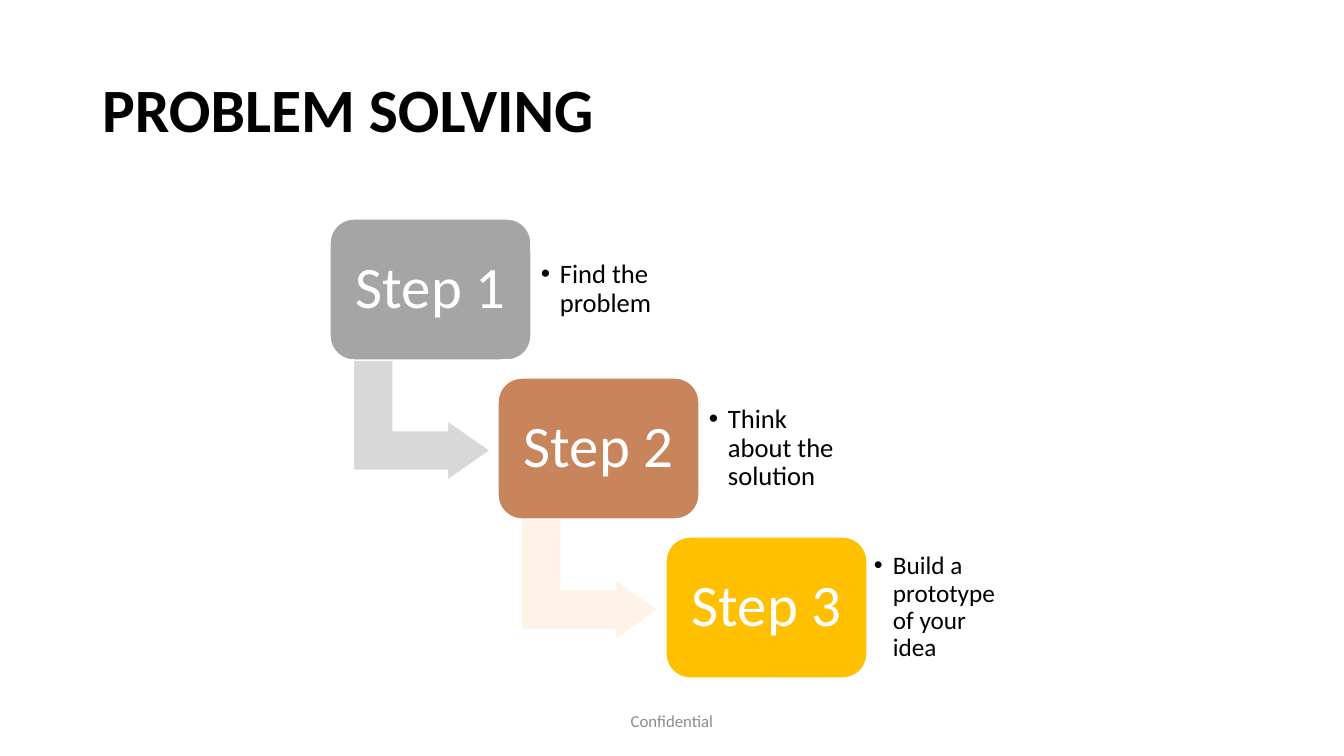
import pptx
import pptx.util
import pptx.dml.color
import pptx.enum.shapes
import pptx.enum.text
import lxml.etree

RGBColor = pptx.dml.color.RGBColor
SHAPE = pptx.enum.shapes.MSO_SHAPE
ALIGN = pptx.enum.text.PP_ALIGN
MIDDLE = pptx.enum.text.MSO_ANCHOR.MIDDLE
EMU_PER_PX = 914400 / 100.8

BLACK = RGBColor(0x00, 0x00, 0x00)
WHITE = RGBColor(0xFF, 0xFF, 0xFF)
GREY = RGBColor(0x8C, 0x8C, 0x8C)
STEP_GREY = RGBColor(0xA5, 0xA5, 0xA5)
STEP_BROWN = RGBColor(0xC8, 0x85, 0x5C)
STEP_GOLD = RGBColor(0xFF, 0xC0, 0x00)
ARROW_GREY = RGBColor(0xD8, 0xD8, 0xD8)
ARROW_CREAM = RGBColor(0xFF, 0xF3, 0xE7)

BOX_LEFT, BOX_TOP, BOX_W, BOX_H = 330, 219, 201, 141
STEP_DX, STEP_DY = 168, 159

STEPS = [
    ("Find the problem", 19, 10, STEP_GREY, ARROW_GREY),
    ("Think about the solution", 19, 10, STEP_BROWN, ARROW_CREAM),
    ("Build a prototype of your idea", 18, 7, STEP_GOLD, None),
]


def px(n):
    return pptx.util.Emu(round(n * EMU_PER_PX))


def area(*lengths):
    return [px(n) for n in lengths]


def set_text(shape, text, size, color, align=ALIGN.LEFT, bold=False, spacing=0.9, inset=None):
    tf = shape.text_frame
    frame = {"word_wrap": True, "vertical_anchor": MIDDLE,
             "auto_size": pptx.enum.text.MSO_AUTO_SIZE.NONE}
    if inset is not None:
        for side in ("left", "right", "top", "bottom"):
            frame["margin_" + side] = px(inset)
    for name, value in frame.items():
        setattr(tf, name, value)
    p = tf.paragraphs[0]
    p.alignment = align
    p.line_spacing = spacing
    r = p.add_run()
    r.text = text
    r.font.color.rgb = color
    fmt = {"name": "Calibri", "size": pptx.util.Pt(size), "bold": bold}
    for name, value in fmt.items():
        setattr(r.font, name, value)
    return p


def add_bullet(p):
    pPr = p._p.get_or_add_pPr()
    pPr.set("marL", str(px(19)))
    pPr.set("indent", str(-px(19)))
    for tag, key, value in (("a:buFont", "typeface", "Arial"), ("a:buChar", "char", "•")):
        lxml.etree.SubElement(pPr, pptx.oxml.ns.qn(tag)).set(key, value)


def add_filled(s, kind, box, color, adjustments):
    sp = s.shapes.add_shape(kind, *area(*box))
    sp.shadow.inherit = False
    sp.fill.solid()
    sp.fill.fore_color.rgb = color
    sp.line.color.rgb = WHITE
    sp.line.width = pptx.util.Pt(1)
    for i, value in enumerate(adjustments):
        sp.adjustments[i] = value
    return sp


def add_arrow(s, x, y, color):
    sp = add_filled(s, SHAPE.BENT_UP_ARROW, (x + 32, y + 133, 120, 137), color,
                    (0.33, 0.25, 0.36))
    sp.rotation = 90


def add_step(s, x, y, label, color):
    sp = add_filled(s, SHAPE.ROUNDED_RECTANGLE, (x, y, BOX_W, BOX_H), color, (0.17,))
    set_text(sp, label, 42, WHITE, ALIGN.CENTER, inset=17)


def add_note(s, x, y, text, size, inset):
    tb = s.shapes.add_textbox(*area(x + BOX_W, y + 13, 147, 115))
    add_bullet(set_text(tb, text, size, BLACK, inset=inset))


def add_title(s, text):
    title = s.shapes.title
    box = dict(zip(("left", "top", "width", "height"), area(92, 40, 1159, 146)))
    for name, value in box.items():
        setattr(title, name, value)
    set_text(title, text, 44, BLACK, bold=True)


def add_footer(s, text):
    tb = s.shapes.add_textbox(*area(445, 701, 454, 40))
    set_text(tb, text, 12, GREY, ALIGN.CENTER, spacing=1.0)


def main():
    prs = pptx.Presentation()
    prs.slide_width, prs.slide_height = area(1344, 756)
    s = prs.slides.add_slide(prs.slide_layouts[5])
    add_title(s, "PROBLEM SOLVING")
    for i, (note, size, inset, color, arrow_color) in enumerate(STEPS):
        x, y = BOX_LEFT + i * STEP_DX, BOX_TOP + i * STEP_DY
        if arrow_color is not None:
            add_arrow(s, x, y, arrow_color)
        add_step(s, x, y, f"Step {i + 1}", color)
        add_note(s, x, y, note, size, inset)
    add_footer(s, "Confidential")
    prs.save("out.pptx")


if __name__ == "__main__":
    main()
